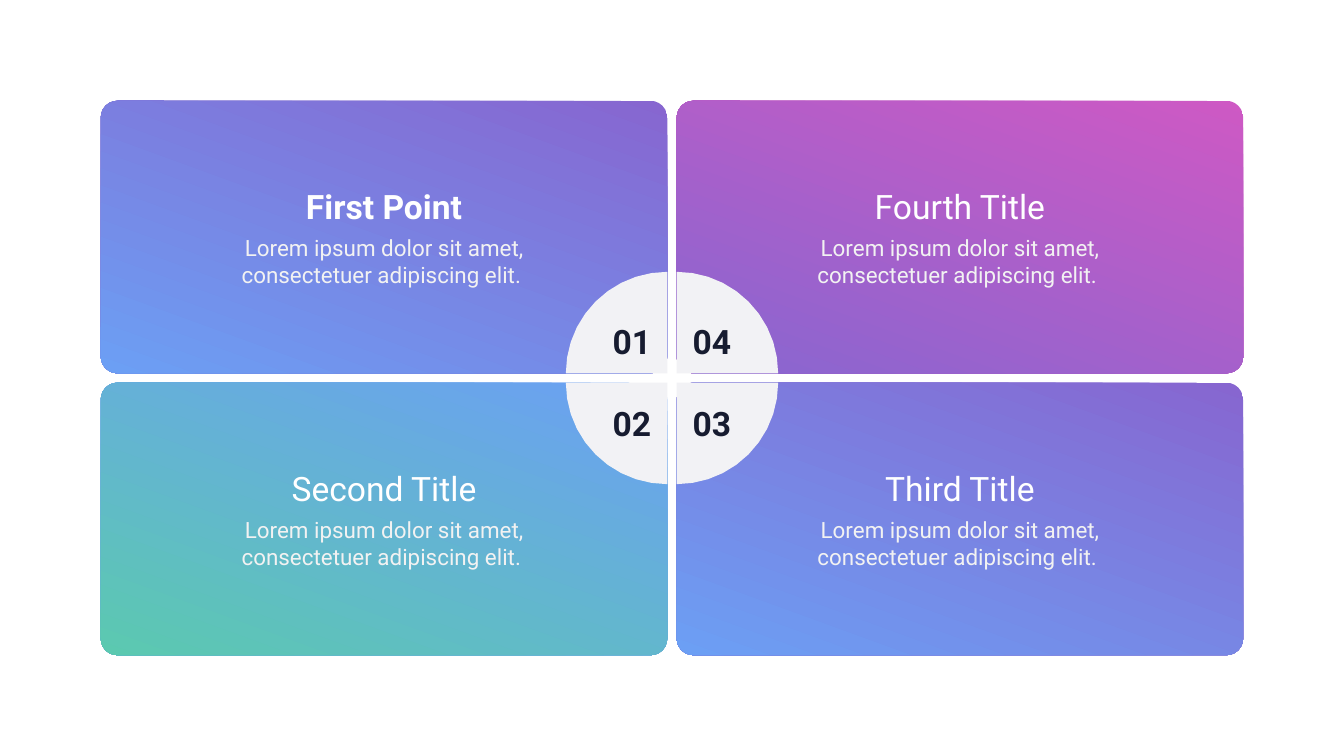
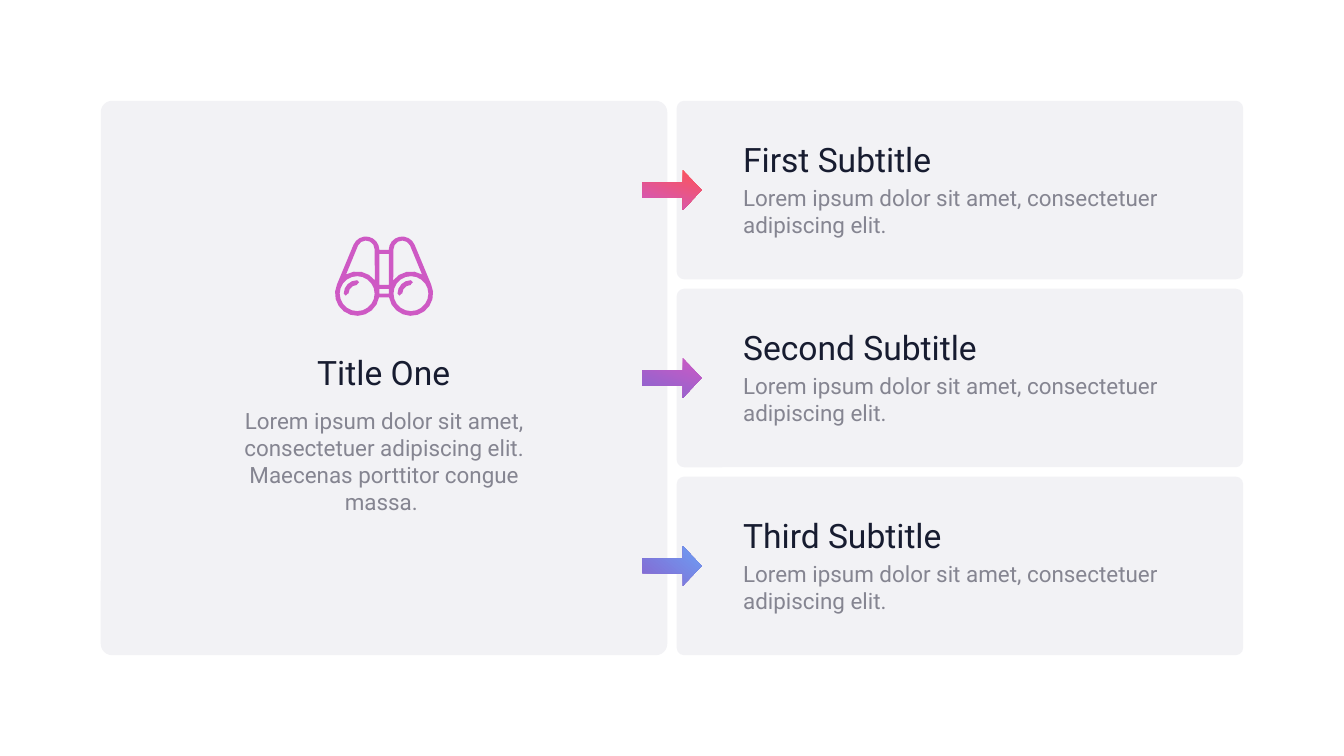
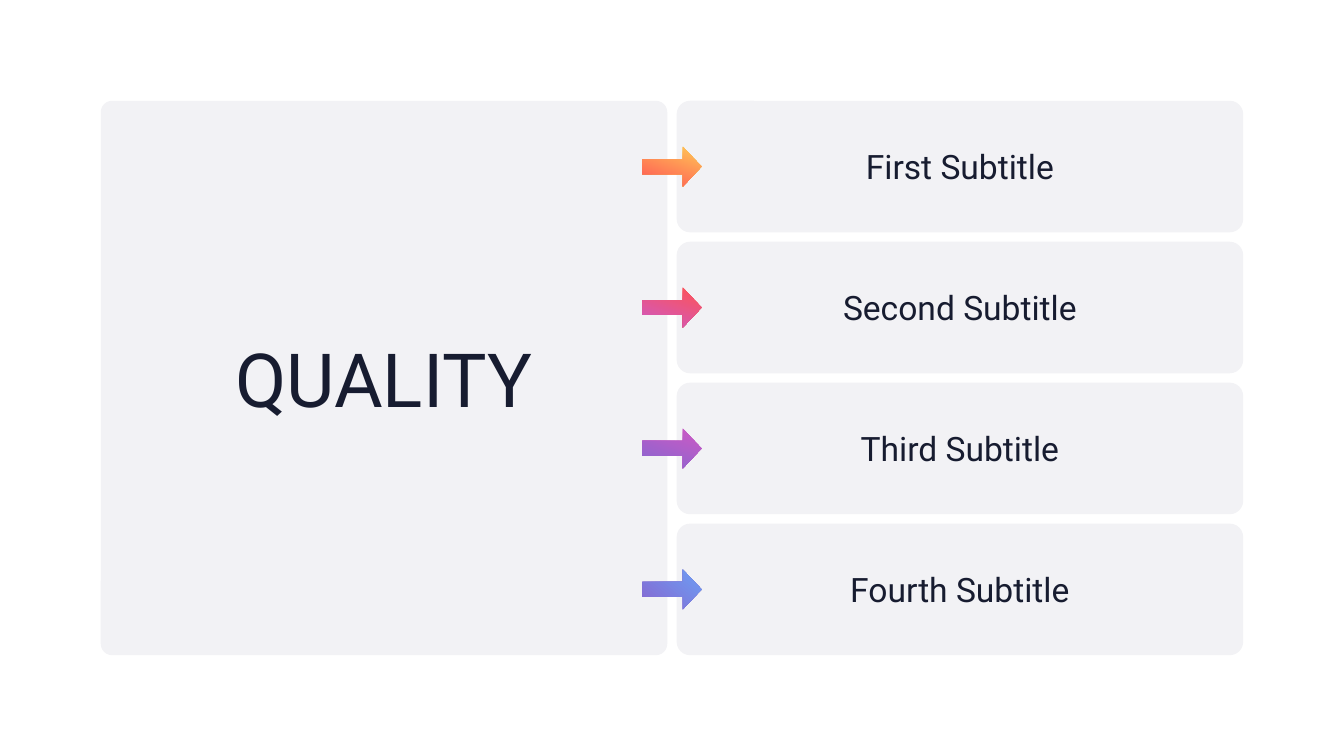
from math import cos, radians, sin

from pptx import Presentation
from pptx.dml.color import RGBColor
from pptx.enum.shapes import MSO_SHAPE as Shape
from pptx.enum.text import MSO_ANCHOR as Anchor, MSO_AUTO_SIZE as Fit, PP_ALIGN as Align
from pptx.util import Inches, Pt

# Colours and font
WHITE = RGBColor(0xFF, 0xFF, 0xFF)
PALE = RGBColor(0xF2, 0xF2, 0xF2)
PANEL = RGBColor(0xF2, 0xF2, 0xF5)
INK = RGBColor(0x17, 0x1C, 0x30)
GREY = RGBColor(0x85, 0x85, 0x91)
GOLD = RGBColor(0xFF, 0xC9, 0x55)
RED = RGBColor(0xFF, 0x53, 0x55)
PINK = RGBColor(0xCE, 0x59, 0xC4)
VIOLET = RGBColor(0x87, 0x66, 0xD0)
BLUE = RGBColor(0x6C, 0x9F, 0xF4)
GREEN = RGBColor(0x5B, 0xC9, 0xB0)
FONT = "Roboto"

# Layout: two columns inside an even margin
MARGIN, GAP = 1.5, 0.14
WIDE, HIGH = 8.43, 8.25
LEFT, RIGHT = MARGIN, MARGIN + WIDE + GAP
DOWN, UP = 250, 50  # gradient angles
LOREM = "Lorem ipsum dolor sit amet, consectetuer adipiscing elit."


def rows(count):
    """Return the tops and the height of equal rows."""
    high = (HIGH - (count - 1) * GAP) / count
    return [MARGIN + i * (high + GAP) for i in range(count)], high


def paint(shape, fill, angle=DOWN):
    """Fill with one colour, or with a gradient for a pair of colours."""
    shape.shadow.inherit = False
    shape.line.fill.background()
    if isinstance(fill, RGBColor):
        shape.fill.solid()
        shape.fill.fore_color.rgb = fill
        return
    shape.fill.gradient()
    shape.fill.gradient_angle = angle
    for stop, color in zip(shape.fill.gradient_stops, fill):
        stop.color.rgb = color


def add_card(slide, x, y, w, h, radius, fill=PANEL):
    card = slide.shapes.add_shape(
        Shape.ROUNDED_RECTANGLE, Inches(x), Inches(y), Inches(w), Inches(h))
    card.adjustments[0] = radius / min(w, h)
    paint(card, fill)


def add_text(slide, x, y, w, h, text, size, color,
             align=Align.CENTER, bold=False, anchor=Anchor.TOP):
    box = slide.shapes.add_textbox(Inches(x), Inches(y), Inches(w), Inches(h))
    frame = box.text_frame
    frame.word_wrap = True
    frame.auto_size = Fit.SHAPE_TO_FIT_TEXT if anchor == Anchor.TOP else Fit.NONE
    frame.vertical_anchor = anchor
    frame.text = text
    para = frame.paragraphs[0]
    para.alignment = align
    font = para.runs[0].font
    font.name, font.size, font.bold = FONT, Pt(size), bold
    font.color.rgb = color


def add_arrow(slide, middle, fill, angle=DOWN):
    """Place an arrow across the gap between the columns."""
    w, h = 0.88, 0.59
    arrow = slide.shapes.add_shape(
        Shape.RIGHT_ARROW, Inches(10 - w / 2), Inches(middle - h / 2),
        Inches(w), Inches(h))
    arrow.adjustments[0], arrow.adjustments[1] = 0.378, 0.471
    paint(arrow, fill, angle)


def arc(x, y, radius, start, end, step=20):
    """Return points on an arc; angles run clockwise from the right."""
    count = max(2, round(abs(end - start) / step))
    turns = [radians(start + (end - start) * i / count) for i in range(count + 1)]
    return [(x + radius * cos(t), y + radius * sin(t)) for t in turns]


def add_path(slide, x, y, loops, fill):
    """Draw closed loops as one outline, relative to x and y."""
    build = None
    for loop in loops:
        first, *rest = [(Inches(x + dx), Inches(y + dy)) for dx, dy in loop]
        if build is None:
            build = slide.shapes.build_freeform(*first, scale=1.0)
        else:
            build.move_to(*first)
        build.add_line_segments(rest, close=True)
    paint(build.convert_to_shape(), fill)


def flip(loop):
    return [(-x, y) for x, y in reversed(loop)]


def add_lenses(slide, x, y):
    """Draw binoculars; x is their middle and y their top."""
    side = arc(0.27, 0.2, 0.2, 180, 337) + arc(0.4, 0.85, 0.33, -25, 170)
    tube = arc(0.4, 0.85, 0.33, 217, 300) + arc(0.27, 0.19, 0.13, 333, 180, 30)
    lens = arc(0.4, 0.85, 0.26, 0, 342, 18)
    glint = (arc(0.4, 0.85, 0.2, 180, 270) + arc(0.4, 0.68, 0.03, 270, 450, 90)
             + arc(0.4, 0.85, 0.13, 270, 180, 30)
             + arc(0.23, 0.85, 0.03, 0, 180, 90))
    shift = [(px - 0.8, py) for px, py in glint]
    bars = [[(-0.07, top), (0.07, top), (0.07, end), (-0.07, end)]
            for top, end in ((0.26, 0.72), (0.78, 0.85))]
    loops = [side + flip(side), tube, flip(tube), lens, flip(lens), glint, shift]
    add_path(slide, x, y, loops + bars, PINK)


def add_quad(slide, x, y, h, title, fill, bold):
    """Gradient card with a title and a line of text."""
    add_card(slide, x, y, WIDE, h, 0.25, fill)
    w = 4.58
    inset = x + (WIDE - w) / 2
    add_text(slide, inset, y + 1.22, w, 0.71, title, 36, WHITE, bold=bold)
    add_text(slide, inset, y + 1.94, w, 0.91, LOREM + " ", 24, PALE)


def add_badge(slide, x, y, start, label):
    """Quarter disc with its corner at x, y, and its number."""
    disc = [(0, 0)] + arc(0, 0, 1.51, start, start + 90, 9)
    add_path(slide, x, y, [disc], PANEL)
    w, h = 1.35, 0.71
    east, south = x == RIGHT, start < 180
    add_text(slide, x + GAP if east else x - GAP - w,
             y + 0.25 if south else y - 0.83, w, h, label, 36, INK,
             Align.LEFT if east else Align.RIGHT, True, Anchor.MIDDLE)


def make_quads(slide):
    (top, low), h = rows(2)
    quads = [
        ("First Point", LEFT, top, (VIOLET, BLUE), 180),
        ("Second Title", LEFT, low, (BLUE, GREEN), 90),
        ("Third Title", RIGHT, low, (VIOLET, BLUE), 0),
        ("Fourth Title", RIGHT, top, (PINK, VIOLET), 270),
    ]
    for i, (title, x, y, fill, start) in enumerate(quads, 1):
        add_quad(slide, x, y, h, title, fill, bold=i == 1)
        corner = LEFT + WIDE if x == LEFT else RIGHT
        add_badge(slide, corner, y + h if y == top else y, start, f"0{i}")


def make_list(slide, items, radius, body=None):
    """Large panel on the left, rows with arrows on the right."""
    add_card(slide, LEFT, MARGIN, WIDE, HIGH, 0.17)
    tops, h = rows(len(items))
    w = 6.64
    x = RIGHT + (WIDE - w) / 2
    for y, (title, fill, angle) in zip(tops, items):
        add_card(slide, RIGHT, y, WIDE, h, radius)
        if body:
            inset = RIGHT + 0.89
            add_text(slide, inset, y + 0.52, w, 0.71, title, 36, INK, Align.LEFT)
            add_text(slide, inset, y + 1.19, w, 0.91, body, 24, GREY, Align.LEFT)
        else:
            add_text(slide, x, y + (h - 0.71) / 2, w, 0.71, title, 36, INK)
        add_arrow(slide, y + h / 2, fill, angle)


def make_topic(slide):
    make_list(slide, [
        ("First Subtitle", (RED, PINK), DOWN),
        ("Second Subtitle", (PINK, VIOLET), DOWN),
        ("Third Subtitle", (VIOLET, BLUE), UP),
    ], 0.11, LOREM)
    mid = LEFT + WIDE / 2
    add_lenses(slide, mid, MARGIN + 2.02)
    add_text(slide, mid - 2.79, MARGIN + 3.69, 5.57, 0.71, "Title One", 36, INK)
    add_text(slide, mid - 2.29, MARGIN + 4.51, 4.58, 1.72,
             LOREM + " Maecenas porttitor congue massa. ", 24, GREY)


def make_word(slide):
    make_list(slide, [
        ("First Subtitle", (GOLD, RED), DOWN),
        ("Second Subtitle", (RED, PINK), DOWN),
        ("Third Subtitle", (PINK, VIOLET), DOWN),
        ("Fourth Subtitle", (VIOLET, BLUE), UP),
    ], 0.2)
    add_text(slide, LEFT + 1.05, MARGIN + 3.4, 6.33, 1.45, "QUALITY", 80, INK)


def main():
    deck = Presentation()
    deck.slide_width, deck.slide_height = Inches(20), Inches(11.25)
    for make in (make_quads, make_topic, make_word):
        make(deck.slides.add_slide(deck.slide_layouts[6]))
    deck.save("out.pptx")


if __name__ == "__main__":
    main()
